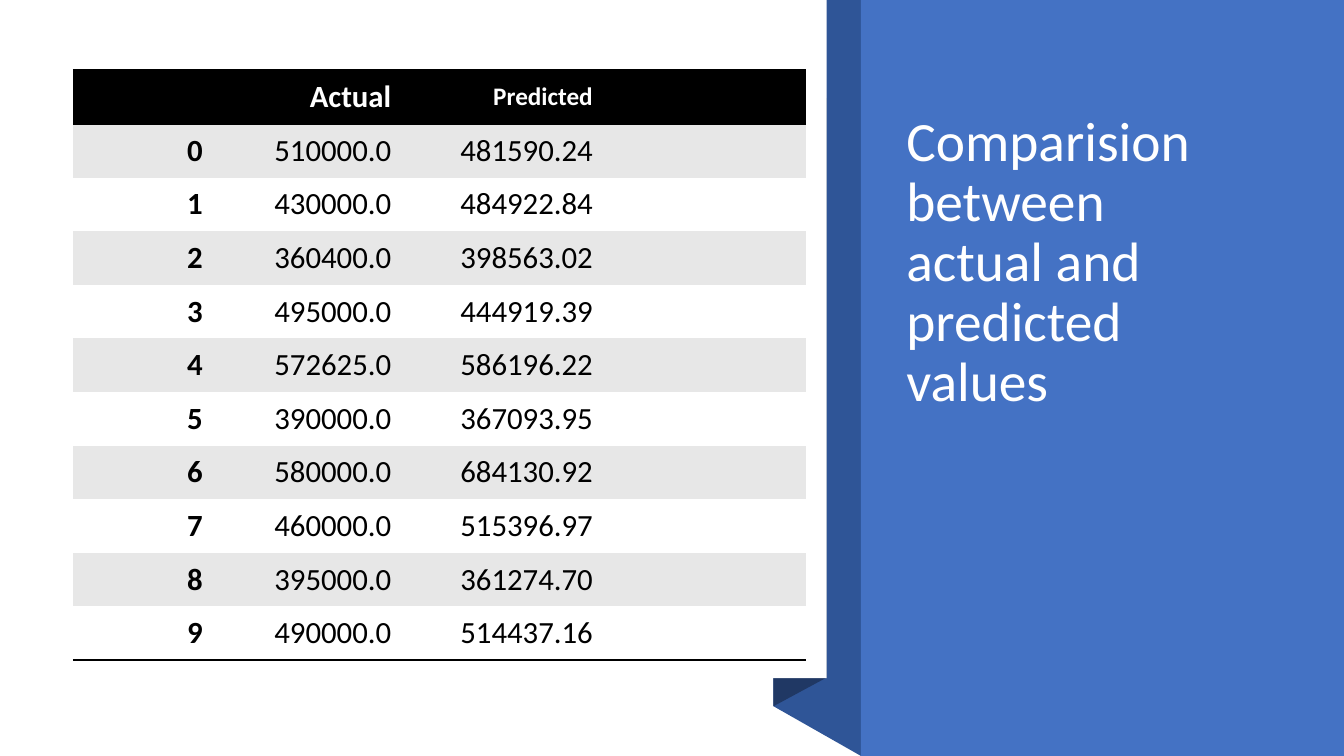
from dataclasses import dataclass

from lxml.etree import SubElement
from pptx import Presentation
from pptx.dml.color import RGBColor
from pptx.enum.shapes import MSO_SHAPE
from pptx.enum.text import MSO_ANCHOR, MSO_AUTO_SIZE, PP_ALIGN
from pptx.oxml.ns import qn
from pptx.util import Pt

FONT = "Calibri"
WHITE, BLACK, BAND = "FFFFFF", "000000", "E7E7E7"
BLUE, RIBBON, FOLD = "4472C4", "2F5597", "203864"
PLAIN_TABLE_STYLE = "{2D5ABB26-0587-4C30-8999-92F81FD0307C}"


@dataclass(frozen=True)
class Panel:
    left: float
    top: float
    width: float
    height: float
    color: str


@dataclass(frozen=True)
class Outline:
    points: tuple[tuple[float, float], ...]
    color: str


@dataclass(frozen=True)
class CellText:
    text: str
    size: float = 22
    bold: bool = False
    color: str = BLACK


def rgb(color: str) -> RGBColor:
    return RGBColor.from_string(color)


def paint(shape, color: str) -> None:
    shape.shadow.inherit = False
    shape.fill.solid()
    shape.fill.fore_color.rgb = rgb(color)
    shape.line.fill.background()


def draw_panel(page, panel: Panel) -> None:
    shape = page.shapes.add_shape(
        MSO_SHAPE.RECTANGLE, Pt(panel.left), Pt(panel.top), Pt(panel.width), Pt(panel.height)
    )
    paint(shape, panel.color)


def draw_outline(page, outline: Outline) -> None:
    start, *rest = [(Pt(x), Pt(y)) for x, y in outline.points]
    builder = page.shapes.build_freeform(*start)
    builder.add_line_segments(rest, close=True)
    paint(builder.convert_to_shape(), outline.color)


def write(paragraph, text: str, size: float, color: str, bold: bool = False) -> None:
    span = paragraph.add_run()
    span.text = text
    span.font.name = FONT
    span.font.size = Pt(size)
    span.font.bold = bold
    span.font.color.rgb = rgb(color)


def add_border(cell, side: str) -> None:
    properties = cell._tc.get_or_add_tcPr()
    line = SubElement(properties, qn(f"a:{side}"), w=str(Pt(2)))
    fill = SubElement(line, qn("a:solidFill"))
    SubElement(fill, qn("a:srgbClr"), val=BLACK)


def format_cell(cell, content: CellText, fill: str, borders: tuple[str, ...]) -> None:
    for side in borders:
        add_border(cell, side)
    cell.fill.solid()
    cell.fill.fore_color.rgb = rgb(fill)
    cell.vertical_anchor = MSO_ANCHOR.MIDDLE
    cell.margin_left = cell.margin_right = Pt(8.64)
    cell.margin_top = cell.margin_bottom = Pt(4.32)
    if content.text:
        paragraph = cell.text_frame.paragraphs[0]
        paragraph.alignment = PP_ALIGN.RIGHT
        write(paragraph, content.text, content.size, content.color, content.bold)


def draw_table(page, rows: list[list[CellText]], widths: list[float]) -> None:
    frame = page.shapes.add_table(
        len(rows), len(widths), Pt(52), Pt(50.2), Pt(sum(widths)), Pt(421.3)
    )
    table = frame.table
    table._tbl.tblPr.find(qn("a:tableStyleId")).text = PLAIN_TABLE_STYLE
    for column, width in zip(table.columns, widths):
        column.width = Pt(width)
    for index, contents in enumerate(rows):
        table.rows[index].height = Pt(38.3)
        if index == 0:
            fill, borders = BLACK, ("lnT", "lnB")
        else:
            fill = BAND if index % 2 else WHITE
            borders = ("lnB",) if index == len(rows) - 1 else ()
        for cell, content in zip(table.rows[index].cells, contents):
            format_cell(cell, content, fill, borders)


def place_title(page, text: str) -> None:
    title = page.shapes.title
    page.shapes._spTree.append(title._element)
    title.left, title.top = Pt(640.2), Pt(83.5)
    title.width, title.height = Pt(257), Pt(215.3)
    box = title.text_frame
    box.word_wrap = True
    box.auto_size = MSO_AUTO_SIZE.NONE
    box.vertical_anchor = MSO_ANCHOR.BOTTOM
    paragraph = box.paragraphs[0]
    paragraph.alignment = PP_ALIGN.LEFT
    paragraph.line_spacing = 0.9
    write(paragraph, text, 39.6, WHITE)


OUTLINES = [
    Outline(((553, 0), (615, 0), (615, 540), (552.5, 504.5), (552.5, 90.5), (553, 90.5)), RIBBON),
    Outline(((590.5, 484), (552.5, 504.5), (552.5, 90), (590.5, 70)), FOLD),
]
PANELS = [
    Panel(0, 0, 590.5, 484.5, WHITE),
    Panel(615, 0, 345, 540, BLUE),
]
VALUES = [
    ("510000.0", "481590.24"),
    ("430000.0", "484922.84"),
    ("360400.0", "398563.02"),
    ("495000.0", "444919.39"),
    ("572625.0", "586196.22"),
    ("390000.0", "367093.95"),
    ("580000.0", "684130.92"),
    ("460000.0", "515396.97"),
    ("395000.0", "361274.70"),
    ("490000.0", "514437.16"),
]
EMPTY = CellText("")
HEADER = [
    EMPTY,
    CellText("Actual", bold=True, color=WHITE),
    CellText("Predicted", size=18, bold=True, color=WHITE),
    EMPTY,
]
BODY = [
    [CellText(str(index), bold=True), CellText(actual), CellText(predicted), EMPTY]
    for index, (actual, predicted) in enumerate(VALUES)
]

deck = Presentation()
deck.slide_width, deck.slide_height = Pt(960), Pt(540)
page = deck.slides.add_slide(deck.slide_layouts[5])
for outline in OUTLINES:
    draw_outline(page, outline)
for panel in PANELS:
    draw_panel(page, panel)
place_title(page, "Comparision between actual and predicted values")
draw_table(page, [HEADER, *BODY], [101.5, 134.6, 144, 144])
deck.save("out.pptx")
